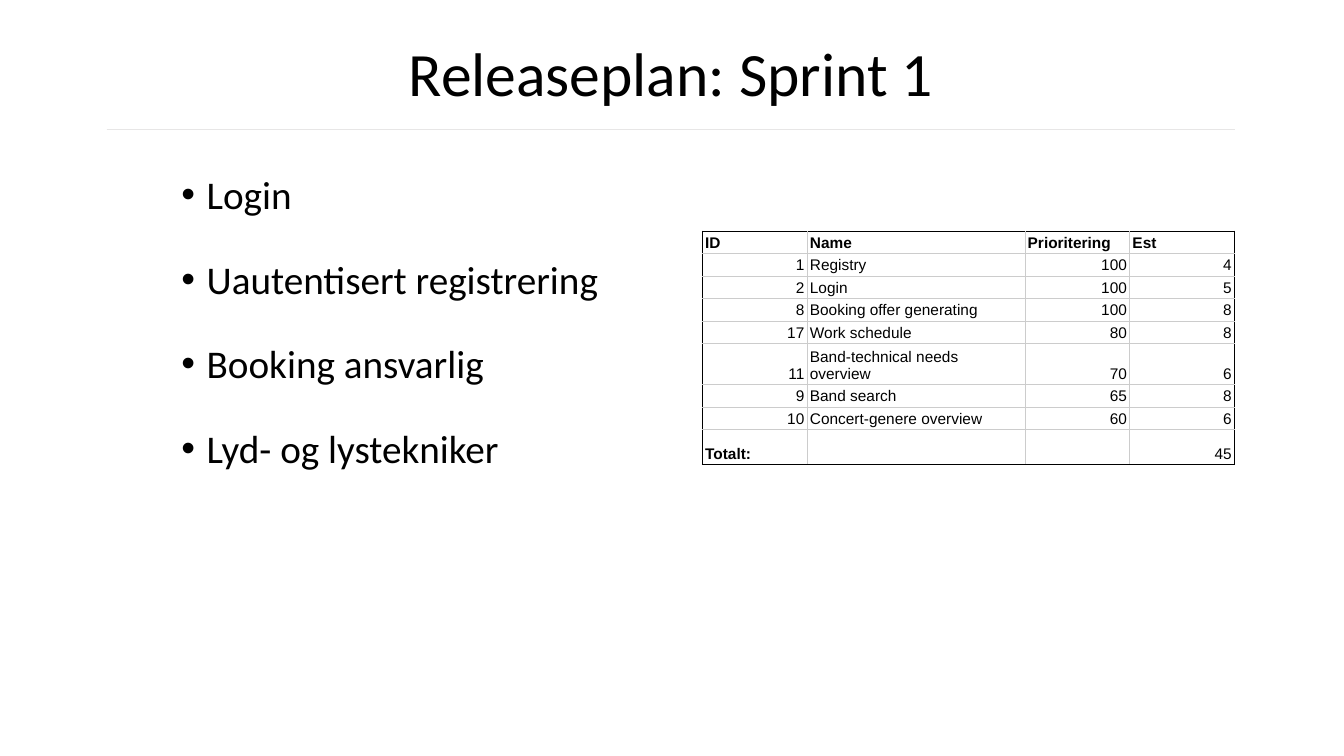
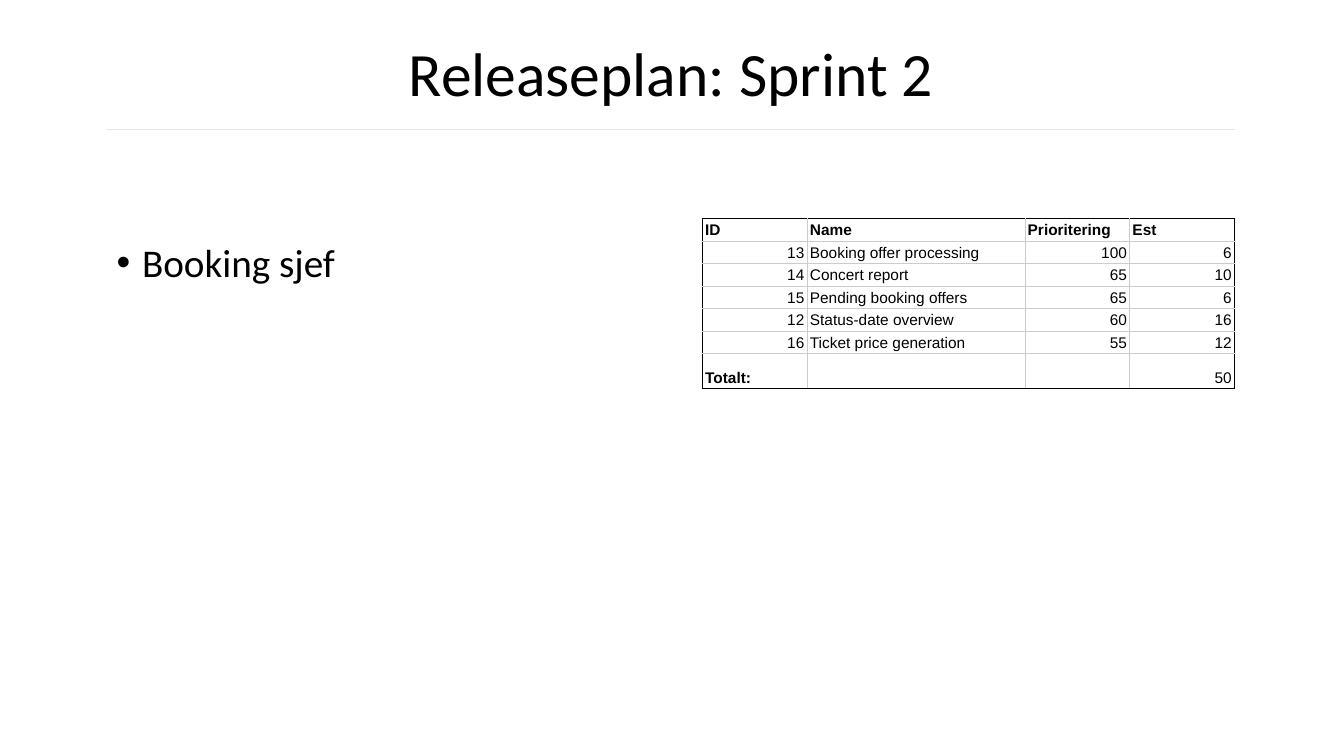
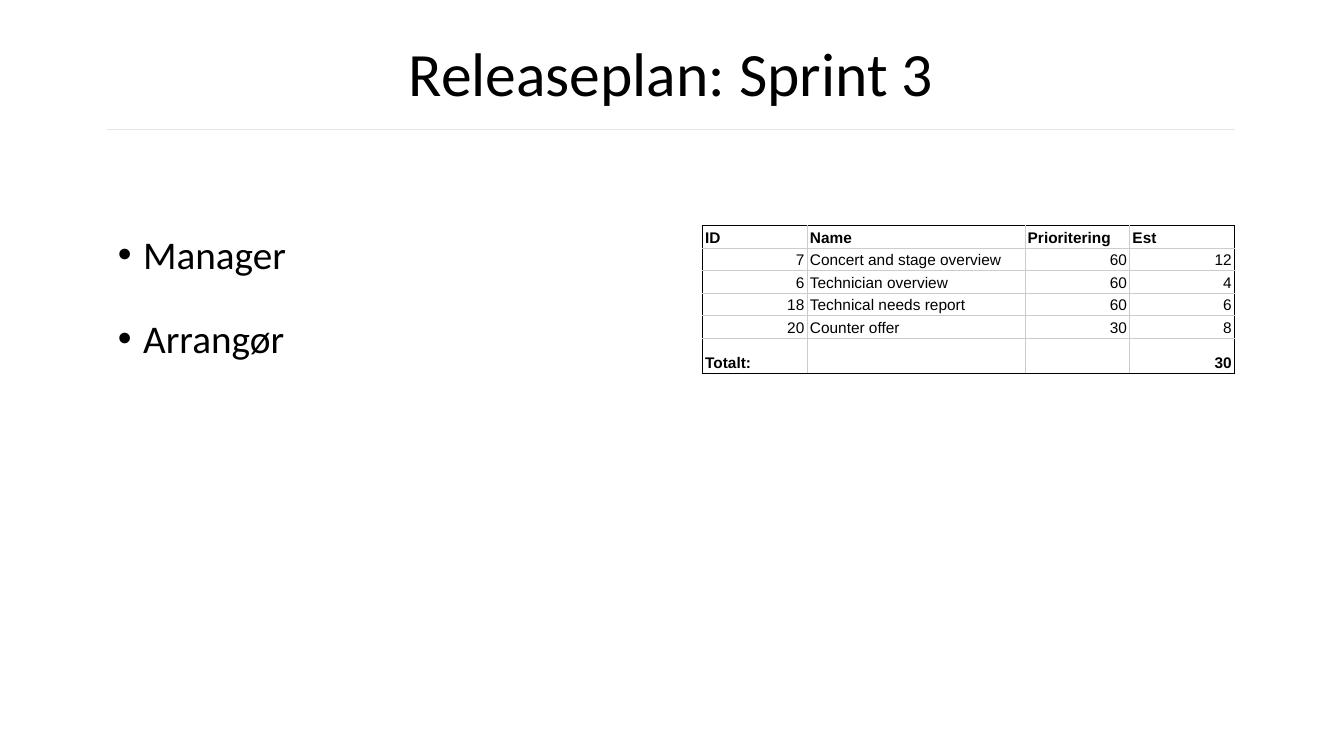
from lxml import etree
from pptx import Presentation
from pptx import util as u
from pptx.dml import color
from pptx.enum import shapes, text
from pptx.oxml import ns

# Shared look
HUES = {"ink": "000000", "grid": "CCCCCC", "rule": "E7E6E6"}
FONTS = {
    "title": {"name": "Calibri", "size": u.Pt(44)},
    "list": {"name": "Calibri", "size": u.Pt(28)},
    "cell": {"name": "Arial", "size": u.Pt(11), "bold": False},
    "head": {"name": "Arial", "size": u.Pt(11), "bold": True},
}
PARAS = {
    "title": {"alignment": text.PP_ALIGN.CENTER, "line_spacing": 0.9},
    "list": {"line_spacing": 1.5, "space_before": u.Pt(10)},
}
CELL = {
    "margin_left": u.Cm(0.07), "margin_right": u.Cm(0.07),
    "margin_top": u.Cm(0.05), "margin_bottom": u.Cm(0.05),
    "vertical_anchor": text.MSO_ANCHOR.BOTTOM,
}
LEFT, RIGHT = 2.69, 31.12
GRID_LEFT = 17.7
COLS = [2.64, 5.49, 2.64, 2.64]
ROW, LAST = 0.56, 0.88
HEADS = ["ID", "Name", "Prioritering", "Est"]

# Content of each sprint
SPRINTS = [
    {"roles": ["Login", "Uautentisert registrering", "Booking ansvarlig",
               "Lyd- og lystekniker"],
     "spot": (4.32, 3.58), "top": 5.82, "sum": "cell",
     "tasks": [(1, "Registry", 100, 4),
               (2, "Login", 100, 5),
               (8, "Booking offer generating", 100, 8),
               (17, "Work schedule", 80, 8),
               (11, "Band-technical needs overview", 70, 6),
               (9, "Band search", 65, 8),
               (10, "Concert-genere overview", 60, 6)]},
    {"roles": ["Booking sjef"],
     "spot": (LEFT, 5.28), "top": 5.51, "sum": "cell",
     "tasks": [(13, "Booking offer processing", 100, 6),
               (14, "Concert report", 65, 10),
               (15, "Pending booking offers", 65, 6),
               (12, "Status-date overview", 60, 16),
               (16, "Ticket price generation", 55, 12)]},
    {"roles": ["Manager", "Arrangør"],
     "spot": (2.72, 5.08), "top": 5.69, "sum": "head",
     "tasks": [(7, "Concert and stage overview", 60, 12),
               (6, "Technician overview", 60, 4),
               (18, "Technical needs report", 60, 6),
               (20, "Counter offer", 30, 8)]},
]


def apply(item, values):
    for key, value in values.items():
        setattr(item, key, value)


def hue(name):
    return color.RGBColor.from_string(HUES[name])


def add_run(para, words, kind):
    run = para.add_run()
    run.text = words
    apply(run.font, FONTS[kind])
    run.font.color.rgb = hue("ink")


def add_node(parent, tag, **attrs):
    return etree.SubElement(parent, ns.qn(tag), **attrs)


# Text
def add_text(slide, box, lines, kind):
    frame = slide.shapes.add_textbox(*map(u.Cm, box)).text_frame
    frame.word_wrap = True
    for n, line in enumerate(lines):
        para = frame.add_paragraph() if n else frame.paragraphs[0]
        apply(para, PARAS[kind])
        add_run(para, line, kind)
    return frame


def add_title(slide, words):
    frame = add_text(slide, (2.31, 0.08, 29.21, 3.68), [words], "title")
    frame.vertical_anchor = text.MSO_ANCHOR.MIDDLE


def add_list(slide, spot, lines):
    frame = add_text(slide, (*spot, 20.22, 8.69), lines, "list")
    step = u.Cm(0.64)
    for para in frame.paragraphs:
        props = para._p.get_or_add_pPr()
        props.set("marL", str(step))
        props.set("indent", str(-step))
        add_node(props, "a:buFont", typeface="Arial")
        add_node(props, "a:buChar", char="•")


# Line under the title
def add_rule(slide):
    ends = map(u.Cm, (LEFT, 3.25, RIGHT, 3.25))
    rule = slide.shapes.add_connector(shapes.MSO_CONNECTOR.STRAIGHT, *ends)
    rule.line.color.rgb = hue("rule")
    rule.line.width = u.Pt(0.5)
    add_node(rule._element.spPr, "a:effectLst")


# Table
def add_edges(cell, outer):
    props = cell._tc.get_or_add_tcPr()
    for n, side in enumerate("LRTB"):
        edge = etree.Element(ns.qn("a:ln" + side), w=str(u.Pt(0.75)))
        fill = add_node(edge, "a:solidFill")
        name = "ink" if side in outer else "grid"
        add_node(fill, "a:srgbClr", val=HUES[name])
        props.insert(n, edge)


def fill_cell(cell, value, kind, outer):
    apply(cell, CELL)
    cell.fill.background()
    add_edges(cell, outer)
    para = cell.text_frame.paragraphs[0]
    if isinstance(value, int):
        para.alignment = text.PP_ALIGN.RIGHT
    if value != "":
        add_run(para, str(value), kind)


def add_grid(slide, top, tasks, final):
    total = sum(task[-1] for task in tasks)
    rows = [HEADS, *tasks, ["Totalt:", "", "", total]]
    end, edge = len(rows) - 1, len(COLS) - 1
    box = map(u.Cm, (GRID_LEFT, top, sum(COLS), ROW * end + LAST))
    grid = slide.shapes.add_table(len(rows), len(COLS), *box).table
    apply(grid, {"first_row": False, "horz_banding": False})
    for col, width in zip(grid.columns, COLS):
        col.width = u.Cm(width)
    for r, row in enumerate(rows):
        grid.rows[r].height = u.Cm(LAST if r == end else ROW)
        for c, value in enumerate(row):
            bold = r == 0 or (r == end and c == 0)
            kind = "head" if bold else final if r == end else "cell"
            tests = {"L": c == 0, "R": c == edge, "T": r == 0, "B": r == end}
            outer = [side for side, hit in tests.items() if hit]
            fill_cell(grid.cell(r, c), value, kind, outer)


def main():
    deck = Presentation()
    apply(deck, {"slide_width": u.Cm(33.87), "slide_height": u.Cm(19.05)})
    for n, sprint in enumerate(SPRINTS, 1):
        slide = deck.slides.add_slide(deck.slide_layouts[6])
        add_title(slide, f"Releaseplan: Sprint {n}")
        add_list(slide, sprint["spot"], sprint["roles"])
        add_rule(slide)
        add_grid(slide, sprint["top"], sprint["tasks"], sprint["sum"])
    deck.save("out.pptx")


main()
